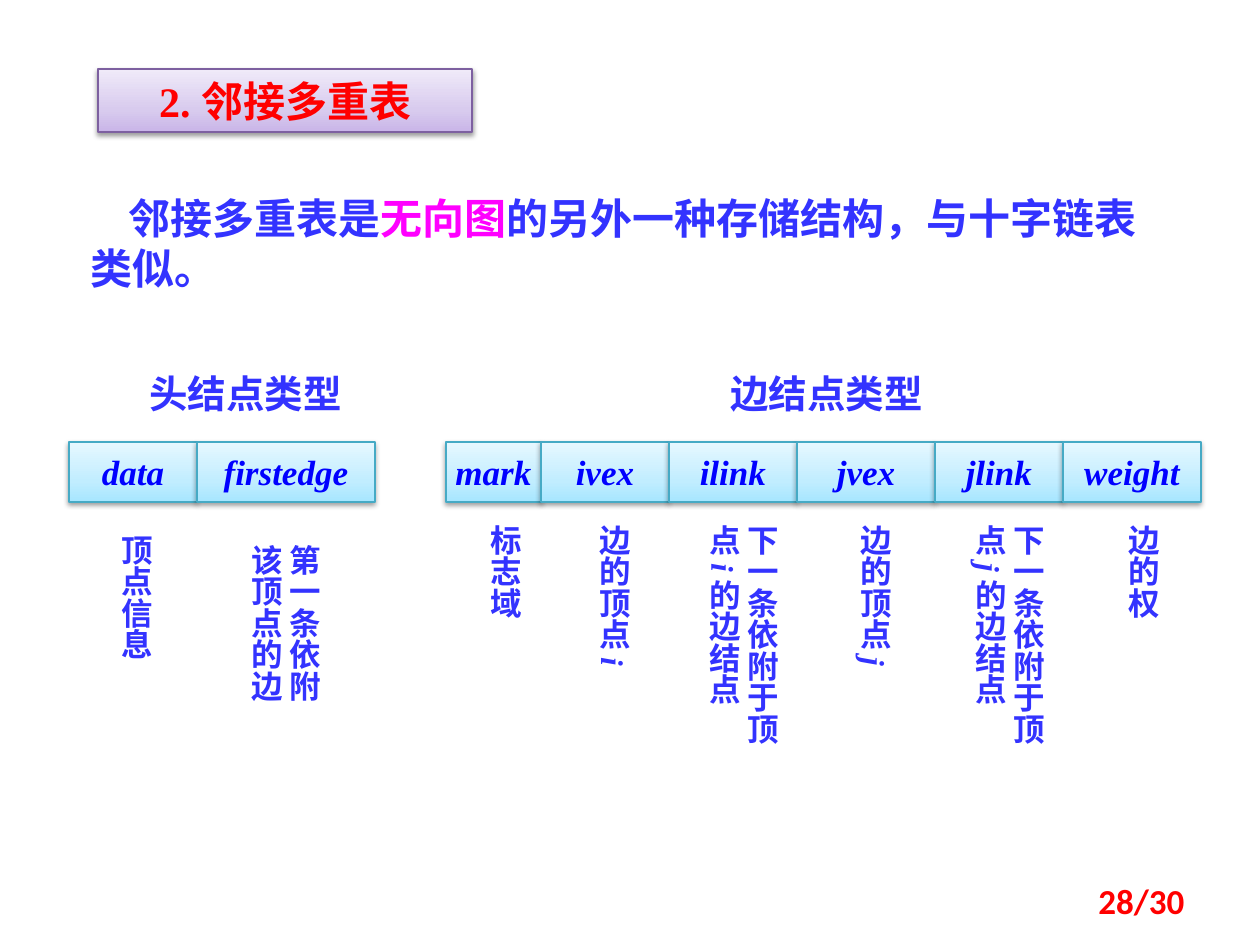
from itertools import accumulate

from lxml.etree import SubElement
from pptx import Presentation
from pptx.dml.color import RGBColor
from pptx.enum.shapes import MSO_SHAPE
from pptx.enum.text import MSO_ANCHOR as Anchor, MSO_AUTO_SIZE as AutoSize, PP_ALIGN as Align
from pptx.oxml.ns import qn
from pptx.util import Emu, Pt

PX = 914400 / 126
COLORS = {
    "red": "FF0000", "blue": "0000FF", "indigo": "3333FF", "magenta": "FF00FF",
    "purple line": "7D60A0", "cyan line": "46AAC5", "shadow": "000000",
}
PURPLE = ("C9B5E8", "D8CBEE", "F0EAF9")
CYAN = ("A7E6FF", "C1EDFF", "E7F8FF")
STOPS = (0, 35, 100)
SANS, SERIF = "Noto Sans CJK SC", "Times New Roman"

# A run is (text, emphasis); emphasis is "", "i" for italic or a colour name.
TITLE = "2. 邻接多重表"
INTRO = [("邻接多重表是", ""), ("无向图", "magenta"),
         ("的另外一种存储结构，与十字链表类似。", "")]
PAGE = "28/30"

# Node type: heading, heading left, row left, and its fields (name, width).
NODES = [
    ("头结点类型", 137, 69, [("data", 128), ("firstedge", 178)]),
    ("边结点类型", 718, 446, [("mark", 95), ("ivex", 128), ("ilink", 128),
                         ("jvex", 138), ("jlink", 128), ("weight", 138)]),
]
# Field note: left, top, columns, height, font, runs.
NOTES = [
    (98, 522, 1, 168, SANS, [("顶点信息", "")]),
    (227, 532, 2, 186, SANS, [("第一条依附该顶点的边", "")]),
    (467, 512, 1, 168, SANS, [("标志域", "")]),
    (576, 512, 1, 168, SERIF, [("边的顶点 ", ""), ("i", "i")]),
    (685, 512, 2, 246, SERIF, [("下一条依附于顶点 ", ""), ("i ", "i"), ("的边结点", "")]),
    (837, 512, 1, 178, SERIF, [("边的顶点 ", ""), ("j", "i")]),
    (951, 512, 2, 246, SERIF, [("下一条依附于顶点 ", ""), ("j ", "i"), ("的边结点", "")]),
    (1105, 512, 1, 137, SANS, [("边的权", "")]),
]
HEADING_TOP, HEADING_SIZE = 364, (246, 59)
FIELD_TOP, FIELD_HEIGHT = 442, 60
COLUMN_WIDTH, COLUMN_STEP = 63, 39


def px(length):
    """Turn pixels into EMU."""
    return Emu(round(length * PX))


def rgb(name):
    """Look a colour up by name."""
    return RGBColor.from_string(COLORS[name])


def write(shape, runs, size, color, font=SANS, align=Align.LEFT, italic=False):
    """Fill a shape with one paragraph of bold runs and return the paragraph."""
    paragraph = shape.text_frame.paragraphs[0]
    paragraph.alignment = align
    base = paragraph.font
    base.size, base.bold, base.italic, base.name = Pt(size), True, italic, font
    base.color.rgb = rgb(color)
    defaults = paragraph._p.pPr.find(qn("a:defRPr"))
    SubElement(defaults, qn("a:ea"), typeface=SANS)
    for text, emphasis in runs:
        run = paragraph.add_run()
        run.text = text
        if emphasis == "i":
            run.font.italic = True
        elif emphasis:
            run.font.color.rgb = rgb(emphasis)
    return paragraph


def add_text(slide, box, runs, size, color, vertical=False, grow=True, **style):
    """Add a wrapping text box, set in vertical columns if asked."""
    shape = slide.shapes.add_textbox(*map(px, box))
    frame = shape.text_frame
    frame.word_wrap = True
    if grow:
        frame.auto_size = AutoSize.SHAPE_TO_FIT_TEXT
    else:
        frame.vertical_anchor = Anchor.MIDDLE
    if vertical:
        frame._txBody.bodyPr.set("vert", "eaVert")
    return write(shape, runs, size, color, **style)


def add_panel(slide, box, text, size, color, tints, line, wrap=False, italic=False):
    """Add a shadowed rectangle with an upward gradient and centred text."""
    shape = slide.shapes.add_shape(MSO_SHAPE.RECTANGLE, *map(px, box))
    shape.fill.gradient()
    shape.fill.gradient_angle = 90
    shape.line.color.rgb = rgb(line)
    shape.line.width = Pt(0.75)
    shape.shadow.inherit = False
    properties = shape._element.spPr
    stops = properties.find(qn("a:gradFill")).find(qn("a:gsLst"))
    for stop in list(stops):
        stops.remove(stop)
    for position, tint in zip(STOPS, tints):
        stop = SubElement(stops, qn("a:gs"), pos=str(position * 1000))
        SubElement(stop, qn("a:srgbClr"), val=tint)
    shadow = SubElement(properties.find(qn("a:effectLst")), qn("a:outerShdw"),
                        blurRad=str(Pt(3.1)), dist=str(Pt(1.6)),
                        dir="5400000", rotWithShape="0")
    shade = SubElement(shadow, qn("a:srgbClr"), val=COLORS["shadow"])
    SubElement(shade, qn("a:alpha"), val="38000")
    shape.text_frame.word_wrap = wrap
    shape.text_frame.vertical_anchor = Anchor.MIDDLE
    write(shape, [(text, "")], size, color, SERIF, Align.CENTER, italic)


deck = Presentation()
deck.slide_width, deck.slide_height = px(1260), px(945)
slide = deck.slides.add_slide(deck.slide_layouts[6])

add_panel(slide, (98, 69, 374, 63), TITLE, 24, "red", PURPLE, "purple line", wrap=True)
intro = add_text(slide, (78, 186, 1102, 115), INTRO, 24, "indigo")
intro._p.pPr.set("indent", str(px(38)))

for heading, heading_left, row_left, fields in NODES:
    add_text(slide, (heading_left, HEADING_TOP, *HEADING_SIZE), [(heading, "")], 22, "indigo")
    lefts = accumulate((width for _, width in fields), initial=row_left)
    for left, (field, width) in zip(lefts, fields):
        add_panel(slide, (left, FIELD_TOP, width, FIELD_HEIGHT), field, 20, "blue",
                  CYAN, "cyan line", italic=True)

for left, top, columns, height, font, runs in NOTES:
    width = COLUMN_WIDTH + (columns - 1) * COLUMN_STEP
    add_text(slide, (left, top, width, height), runs, 18, "indigo", vertical=True, font=font)

add_text(slide, (903, 876, 294, 50), [(PAGE, "")], 20, "red", grow=False,
         font="Calibri", align=Align.RIGHT)

deck.save("out.pptx")
